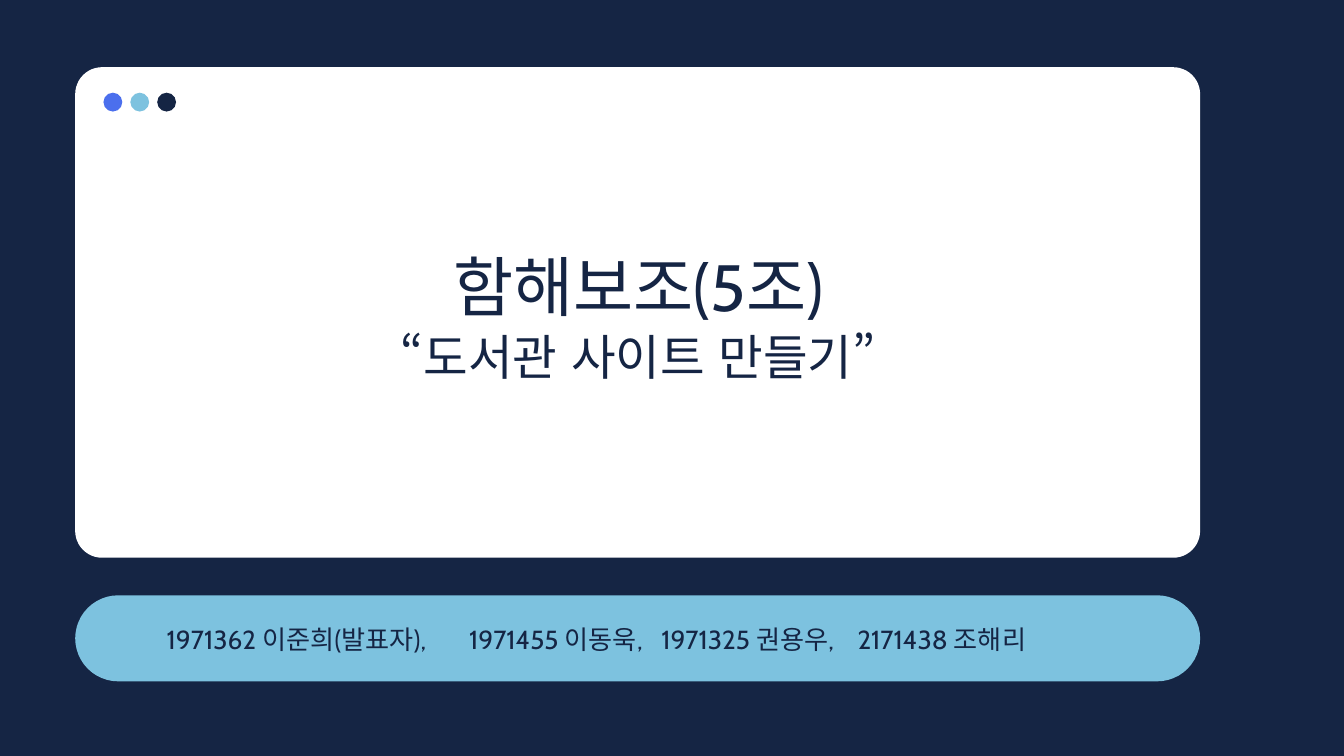
from pptx import Presentation
from pptx.dml.color import RGBColor
from pptx.enum.lang import MSO_LANGUAGE_ID
from pptx.enum.shapes import MSO_SHAPE
from pptx.enum.text import MSO_ANCHOR, MSO_AUTO_SIZE, PP_ALIGN
from pptx.oxml.ns import qn
from pptx.util import Inches, Pt
from lxml.etree import SubElement

NAVY, SKY, BLUE, WHITE = "152544", "7DC2DF", "4B6FED", "FFFFFF"
FRAME_FORMAT = {
    "margin_left": 0, "margin_right": 0, "margin_top": 0, "margin_bottom": 0,
    "word_wrap": True, "auto_size": MSO_AUTO_SIZE.NONE,
    "vertical_anchor": MSO_ANCHOR.TOP,
}


def paint(color_format, color):
    color_format.rgb = RGBColor.from_string(color)


def write(frame, lines, alignment):
    for name, value in FRAME_FORMAT.items():
        setattr(frame, name, value)
    frame.text = "\n".join(text for text, size in lines)
    for paragraph, (text, size) in zip(frame.paragraphs, lines):
        paragraph_format = {"alignment": alignment, "line_spacing": 1.05,
                            "space_before": Pt(0)}
        for name, value in paragraph_format.items():
            setattr(paragraph, name, value)
        for run in paragraph.runs:
            run_format = {"name": "Cabin", "size": Pt(size),
                          "language_id": MSO_LANGUAGE_ID.KOREAN}
            for name, value in run_format.items():
                setattr(run.font, name, value)
            paint(run.font.color, NAVY)


presentation = Presentation()
presentation.slide_width = Inches(10)
presentation.slide_height = presentation.slide_width * 9 // 16
slide = presentation.slides.add_slide(presentation.slide_layouts[5])
slide.background.fill.solid()
paint(slide.background.fill.fore_color, NAVY)

left, width = 0.56, 8.37
panels = [
    (MSO_SHAPE.ROUNDED_RECTANGLE, left, 0.5, width, 3.65, WHITE, 0.055),
    (MSO_SHAPE.ROUNDED_RECTANGLE, left, 4.43, width, 0.64, SKY, 0.5),
]
dots = [(MSO_SHAPE.OVAL, 0.77 + 0.2 * column, 0.69, 0.14, 0.14, color, None)
        for column, color in enumerate((BLUE, SKY, NAVY))]
for kind, x, y, w, h, color, rounding in panels + dots:
    shape = slide.shapes.add_shape(kind, Inches(x), Inches(y), Inches(w), Inches(h))
    shape.shadow.inherit = False
    shape.fill.solid()
    paint(shape.fill.fore_color, color)
    shape.line.fill.background()
    if rounding:
        shape.adjustments[0] = rounding

members = slide.shapes.add_textbox(Inches(1.24), Inches(4.63), Inches(7.22), Inches(0.24))
names = ["1971362 이준희(발표자),", "1971455 이동욱,", "1971325 권용우,", "2171438 조해리"]
write(members.text_frame, [("\t".join(names), 14)], PP_ALIGN.LEFT)
properties = members.text_frame.paragraphs[0]._p.get_or_add_pPr()
tabs = SubElement(properties, qn("a:tabLst"))
for position in (2.25, 3.68, 5.14):
    SubElement(tabs, qn("a:tab"), pos=str(Inches(position)), algn="l")

title = slide.shapes.title
title_place = {"left": 1.38, "top": 1.8, "width": 6.74, "height": 1.38}
for name, value in title_place.items():
    setattr(title, name, Inches(value))
write(title.text_frame, [("함해보조(5조)", 35), ("“도서관 사이트 만들기”", 26)], PP_ALIGN.CENTER)
title.element.getparent().append(title.element)

presentation.save("out.pptx")
